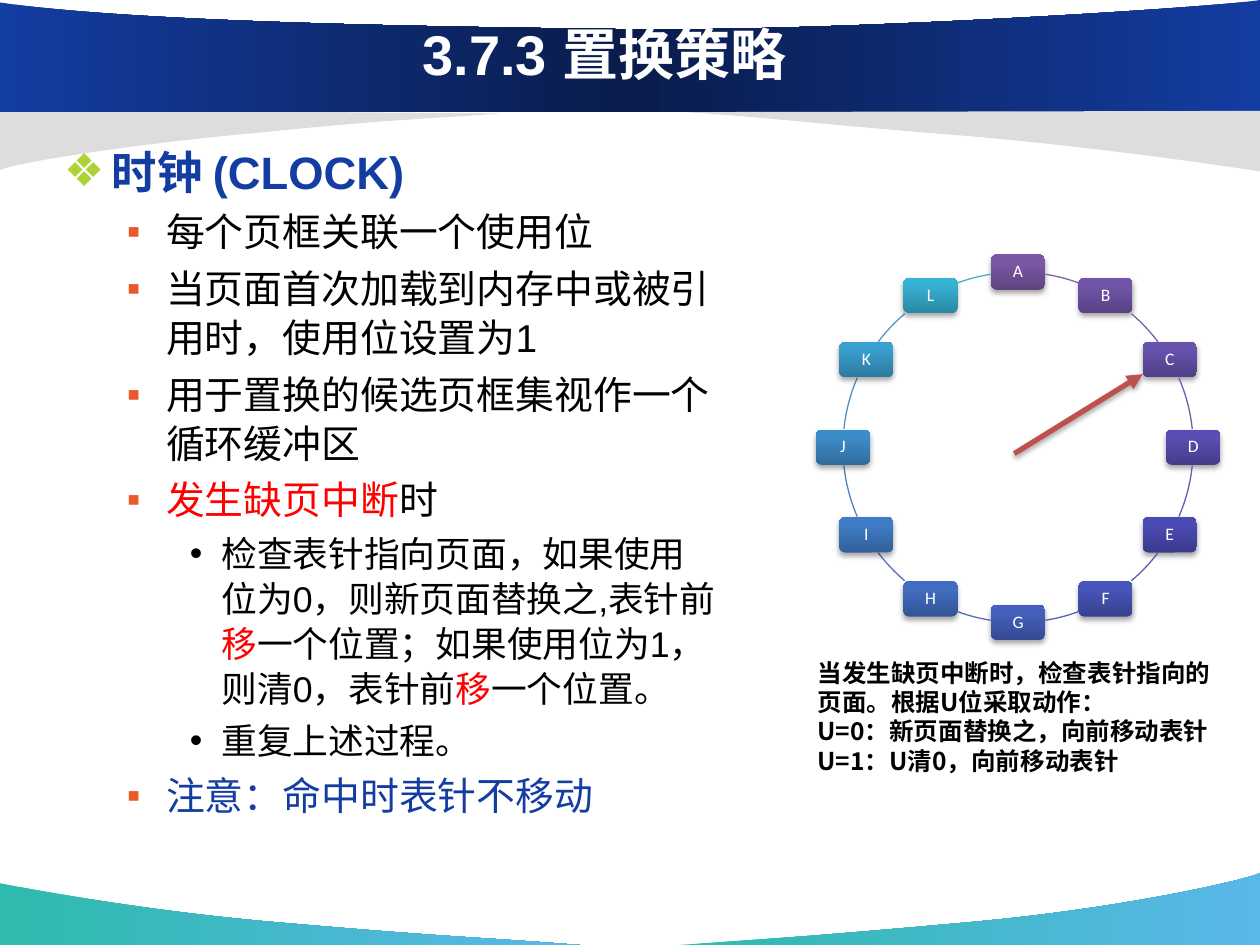
import math

import lxml.etree
import pptx
import pptx.dml.color
import pptx.enum.shapes
import pptx.enum.text
import pptx.oxml.ns
import pptx.util

Inches = pptx.util.Inches
Pt = pptx.util.Pt
qn = pptx.oxml.ns.qn

CJK_FONT = "Noto Sans CJK SC"
BLUE, RED, BLACK, WHITE, GREY = "143DA2", "FF0000", "000000", "FFFFFF", "DDDDDD"
TEAL_TO_SKY = [(0, "2EBAAD"), (100, "5AB7EA")]
NAVY_BAND = [(0, BLUE), (50, "091C4B"), (100, BLUE)]

# Each outline: fill, start point, then segments of one point (line) or three (curve)
BACKGROUND = [
    (TEAL_TO_SKY, (4.6, 7.5), [
        [(3.84, 7.44), (3.58, 7.44), (2.32, 7.33)],
        [(1.06, 7.23), (0.01, 7.01), (0, 7.01)], [(0, 7.5)]]),
    (TEAL_TO_SKY, (5.39, 7.5), [
        [(6.14, 7.45), (6.46, 7.43), (7.69, 7.32)],
        [(8.92, 7.21), (9.9, 6.98), (10, 6.93)], [(10, 7.5)]]),
    (GREY, (3.98, 0.9), [
        [(3.31, 0.95), (3.18, 0.94), (2.08, 1.05)],
        [(0.97, 1.15), (0.09, 1.3), (0, 1.35)], [(0, 0.87)]]),
    (NAVY_BAND, (0, 0.89), [
        [(10, 0.89)], [(10, 0)],
        [(9.64, 0.06), (6.53, 0.26), (4.87, 0.23)],
        [(3.21, 0.21), (1.01, 0.17), (0, 0.02)]]),
    (GREY, (5.44, 0.89), [
        [(6.2, 0.94), (6.42, 0.98), (7.68, 1.08)],
        [(8.94, 1.19), (9.99, 1.36), (10, 1.36)], [(10, 0.88)]]),
]

# Level: bullet, bullet colour, left margin, hanging indent, text size
LEVELS = [
    ("❖", "AED337", 0.38, 0.38, 25.9),
    ("▪", "EB592B", 0.81, 0.31, 22.2),
    ("•", BLACK, 1.25, 0.25, 20.4),
]
OUTLINE = [
    (0, [("时钟 (CLOCK)", BLUE)]),
    (1, [("每个页框关联一个使用位", BLACK)]),
    (1, [("当页面首次加载到内存中或被引用时，使用位设置为1", BLACK)]),
    (1, [("用于置换的候选页框集视作一个循环缓冲区", BLACK)]),
    (1, [("发生缺页中断", RED), ("时", BLACK)]),
    (2, [("检查表针指向页面，如果使用位为0，则新页面替换之,表针前", BLACK),
         ("移", RED), ("一个位置；如果使用位为1，则清0，表针前", BLACK),
         ("移", RED), ("一个位置。", BLACK)]),
    (2, [("重复上述过程。", BLACK)]),
    (1, [("注意：命中时表针不移动", BLUE)]),
]
CAPTION = [
    "当发生缺页中断时，检查表针指向的页面。根据U位采取动作：",
    "U=0：新页面替换之，向前移动表针",
    "U=1：U清0，向前移动表针",
]

RING_LEFT, RING_TOP, RADIUS = 6.69, 2.16, 1.39
CENTRE_X, CENTRE_Y = RING_LEFT + RADIUS, RING_TOP + RADIUS
FRAME_WIDTH, FRAME_HEIGHT = 0.43, 0.28
# Page frame: label, gradient from bottom to top, colour of the arc that follows
FRAMES = [
    ("A", "5F4480", "7B58A6", "7C57A8", "8064A2"),
    ("B", "584183", "7255AA", "7253AD", "7962A5"),
    ("C", "4F3F86", "6752AE", "6650B1", "705FA9"),
    ("D", "453C89", "5A4EB2", "594DB5", "665DAC"),
    ("E", "3A3A8C", "4B4BB6", "4A4AB9", "5B5BAF"),
    ("F", "38428F", "4855BA", "4754BD", "5862B3"),
    ("G", "354A93", "4561BE", "4360C2", "566CB6"),
    ("H", "335496", "426EC2", "406DC6", "5476B9"),
    ("I", "316099", "3F7CC6", "3D7CCA", "5282BC"),
    ("J", "2F6C9C", "3D8CCA", "3A8DCE", "4F8FC0"),
    ("K", "2C7A9F", "3A9ECE", "37A0D2", "4D9DC3"),
    ("L", "2A88A2", "37B1D2", "34B4D6", "4BACC6"),
]
STEP = 360 / len(FRAMES)


def rgb(value):
    return pptx.dml.color.RGBColor.from_string(value)


def add_element(parent, tag, **attributes):
    element = lxml.etree.SubElement(parent, qn(tag))
    for name, value in attributes.items():
        element.set(name, str(value))
    return element


def set_fill(shape, fill, angle=0):
    """Fill with one colour, or with a gradient given as (percent, colour) stops."""
    if isinstance(fill, str):
        shape.fill.solid()
        shape.fill.fore_color.rgb = rgb(fill)
        return
    shape.fill.gradient()
    shape.fill.gradient_angle = angle
    stops = shape.fill._fill._gradFill.find(qn("a:gsLst"))
    stops.clear()
    for percent, colour in fill:
        stop = add_element(stops, "a:gs", pos=percent * 1000)
        add_element(stop, "a:srgbClr", val=colour)


def add_soft_shadow(effects):
    shadow = add_element(effects, "a:outerShdw", blurRad=Pt(3.1), dist=Pt(1.8),
                         dir=5400000, rotWithShape=0)
    colour = add_element(shadow, "a:srgbClr", val=BLACK)
    add_element(colour, "a:alpha", val=35000)


def format_run(run, size, colour, font="Arial", bold=False):
    run.font.size = Pt(size)
    run.font.name = font
    run.font.bold = bold
    run.font.color.rgb = rgb(colour)
    add_element(run.font._element, "a:ea", typeface=CJK_FONT)


def add_text_box(slide, left, top, width, height):
    box = slide.shapes.add_textbox(Inches(left), Inches(top), Inches(width), Inches(height))
    box.text_frame.word_wrap = True
    return box.text_frame


def add_freeform(slide, start, segments, close):
    """Outline of lines and cubic curves; a segment of three points is a curve."""
    builder = slide.shapes.build_freeform(Inches(start[0]), Inches(start[1]))
    builder.add_line_segments(
        [(Inches(x), Inches(y)) for segment in segments for x, y in segment], close=close)
    shape = builder.convert_to_shape()
    shape.shadow.inherit = False
    lines = iter(list(shape._element.iter(qn("a:lnTo"))))
    for segment in segments:
        steps = [next(lines) for _ in segment]
        if len(steps) == 3:
            curve = lxml.etree.Element(qn("a:cubicBezTo"))
            steps[0].addprevious(curve)
            for step in steps:
                curve.append(step[0])
                step.getparent().remove(step)
    return shape


def set_freeform_bounds(shape, left, top, width, height):
    """Give the shape another box and leave its outline where it is."""
    shift_x, shift_y = shape.left - left, shape.top - top
    for point in shape._element.iter(qn("a:pt")):
        point.set("x", str(int(point.get("x")) + shift_x))
        point.set("y", str(int(point.get("y")) + shift_y))
    for outline in shape._element.iter(qn("a:path")):
        outline.set("w", str(width))
        outline.set("h", str(height))
    shape.left, shape.top, shape.width, shape.height = left, top, width, height


def add_background_area(slide, fill, start, segments):
    shape = add_freeform(slide, start, segments, close=True)
    set_fill(shape, fill)
    shape.line.fill.background()


def add_title(slide, text):
    text_frame = add_text_box(slide, 0.52, 0, 8.56, 0.85)
    text_frame.vertical_anchor = pptx.enum.text.MSO_ANCHOR.MIDDLE
    text_frame.text = text
    paragraph = text_frame.paragraphs[0]
    paragraph.alignment = pptx.enum.text.PP_ALIGN.CENTER
    format_run(paragraph.runs[0], 32, WHITE, bold=True)


def add_outline(slide):
    text_frame = add_text_box(slide, 0.41, 1.07, 5.37, 5.67)
    for index, (level, parts) in enumerate(OUTLINE):
        paragraph = text_frame.add_paragraph() if index else text_frame.paragraphs[0]
        bullet, bullet_colour, margin, hanging, size = LEVELS[level]
        properties = paragraph._p.get_or_add_pPr()
        properties.set("marL", str(Inches(margin)))
        properties.set("indent", str(-Inches(hanging)))
        properties.set("hangingPunct", "0")
        add_element(add_element(properties, "a:buClr"), "a:srgbClr", val=bullet_colour)
        add_element(properties, "a:buFont", typeface="Arial")
        add_element(properties, "a:buChar", char=bullet)
        paragraph.level = level
        paragraph.line_spacing = 1.05
        if index:
            paragraph.space_before = Pt(round(0.2 * size, 1))
        for text, colour in parts:
            run = paragraph.add_run()
            run.text = text
            format_run(run, size, colour, bold=level == 0)


def ring_point(degrees, radius=RADIUS):
    """Point at an angle clockwise from the top of the ring."""
    angle = math.radians(degrees)
    return CENTRE_X + radius * math.sin(angle), CENTRE_Y - radius * math.cos(angle)


def add_frame(slide, degrees, label, stops):
    x, y = ring_point(degrees)
    shape = slide.shapes.add_shape(
        pptx.enum.shapes.MSO_SHAPE.ROUNDED_RECTANGLE,
        Inches(x - FRAME_WIDTH / 2), Inches(y - FRAME_HEIGHT / 2),
        Inches(FRAME_WIDTH), Inches(FRAME_HEIGHT))
    set_fill(shape, stops, angle=90)
    shape.line.fill.background()
    shape.shadow.inherit = False
    add_soft_shadow(shape._element.spPr.find(qn("a:effectLst")))
    text_frame = shape.text_frame
    text_frame.margin_left = text_frame.margin_right = Inches(0.04)
    text_frame.margin_top = text_frame.margin_bottom = Inches(0.04)
    text_frame.vertical_anchor = pptx.enum.text.MSO_ANCHOR.MIDDLE
    text_frame.text = label
    paragraph = text_frame.paragraphs[0]
    paragraph.alignment = pptx.enum.text.PP_ALIGN.CENTER
    paragraph.line_spacing = 0.9
    format_run(paragraph.runs[0], 10, WHITE, font="Calibri")


def outside_frame(degrees, frame_degrees):
    x, y = ring_point(degrees)
    frame_x, frame_y = ring_point(frame_degrees)
    return abs(x - frame_x) > FRAME_WIDTH / 2 or abs(y - frame_y) > FRAME_HEIGHT / 2


def add_arc(slide, degrees, colour):
    """Draw the part of the ring between one frame and the next."""
    angles = [degrees + STEP * index / 90 for index in range(91)]
    visible = [angle for angle in angles
               if outside_frame(angle, degrees) and outside_frame(angle, degrees + STEP)]
    first, last = visible[0], visible[-1]
    # Bezier handles lie on the tangents at both ends
    handle = 4 / 3 * math.tan(math.radians(last - first) / 4)
    turn, reach = math.degrees(math.atan(handle)), RADIUS * math.hypot(1, handle)
    curve = [ring_point(first + turn, reach), ring_point(last - turn, reach), ring_point(last)]
    arc = add_freeform(slide, ring_point(first), [curve], close=False)
    set_freeform_bounds(arc, Inches(RING_LEFT), Inches(RING_TOP),
                        Inches(2 * RADIUS), Inches(2 * RADIUS))
    arc.fill.background()
    arc.line.color.rgb = rgb(colour)
    arc.line.width = Pt(0.75)


def add_clock_hand(slide):
    hand = slide.shapes.add_connector(pptx.enum.shapes.MSO_CONNECTOR.STRAIGHT,
                                      Inches(8.05), Inches(3.6), Inches(9.07), Inches(2.97))
    hand.line.color.rgb = rgb("C0504D")
    hand.line.width = Pt(3)
    add_element(hand.line._get_or_add_ln(), "a:tailEnd", type="triangle")
    add_soft_shadow(add_element(hand._element.spPr, "a:effectLst"))


def add_caption(slide):
    text_frame = add_text_box(slide, 6.39, 5.17, 3.46, 1.04)
    text_frame.auto_size = pptx.enum.text.MSO_AUTO_SIZE.SHAPE_TO_FIT_TEXT
    text_frame.text = "\n".join(CAPTION)
    for paragraph in text_frame.paragraphs:
        format_run(paragraph.runs[0], 14, BLACK, font=CJK_FONT, bold=True)


def main():
    presentation = pptx.Presentation()
    presentation.slide_width, presentation.slide_height = Inches(10), Inches(7.5)
    slide = presentation.slides.add_slide(presentation.slide_layouts[6])
    for fill, start, segments in BACKGROUND:
        add_background_area(slide, fill, start, segments)
    add_title(slide, "3.7.3 置换策略")
    add_outline(slide)
    for index, (label, dark, middle, light, arc_colour) in enumerate(FRAMES):
        add_frame(slide, index * STEP, label, [(0, dark), (80, middle), (100, light)])
        add_arc(slide, index * STEP, arc_colour)
    add_clock_hand(slide)
    add_caption(slide)
    presentation.save("out.pptx")


if __name__ == "__main__":
    main()
